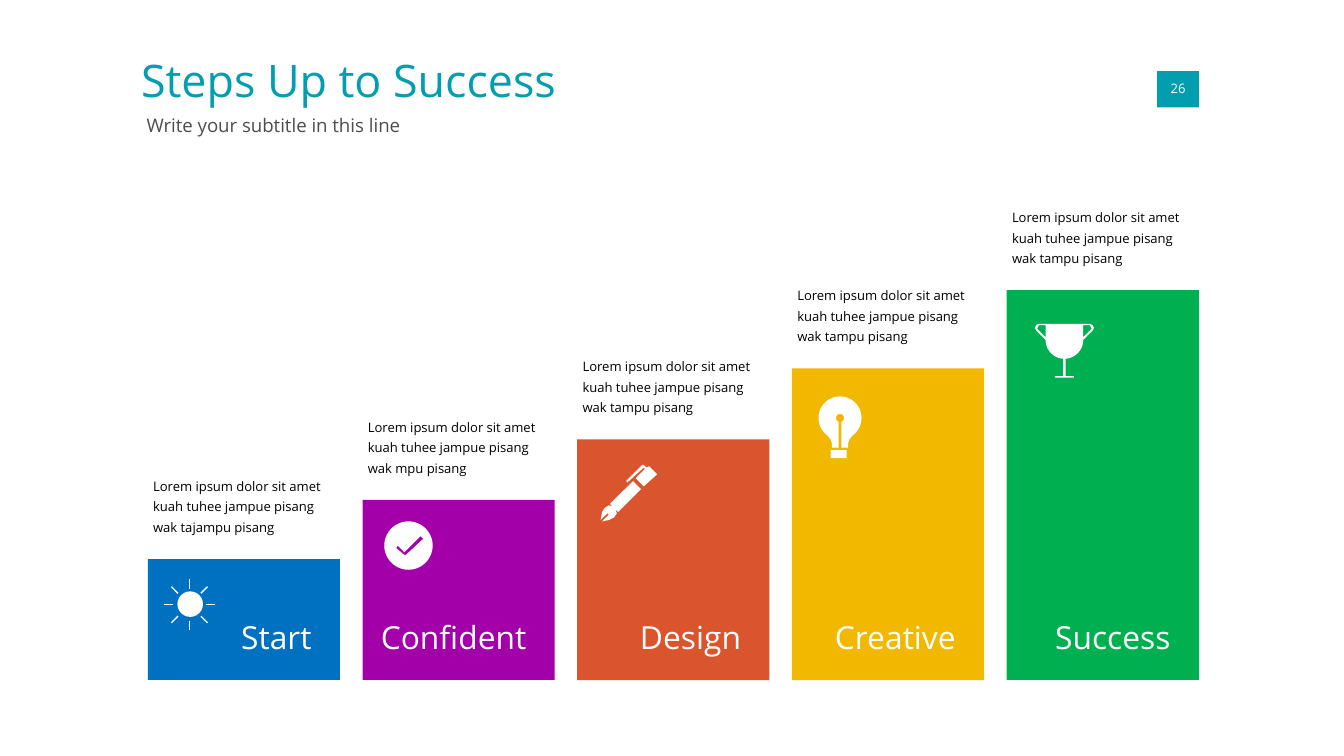
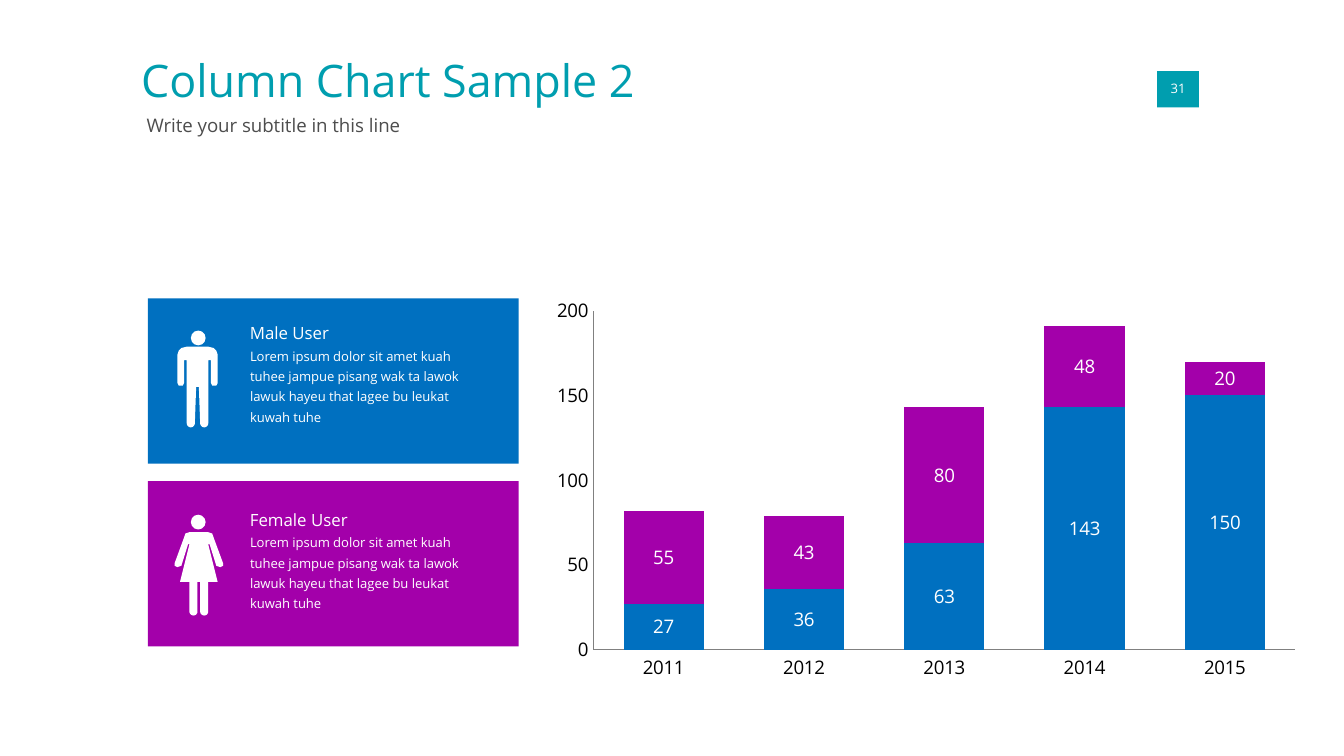
from math import cos, radians, sin

from pptx import Presentation
from pptx.chart.data import CategoryChartData
from pptx.dml.color import RGBColor
from pptx.enum.chart import XL_CHART_TYPE, XL_TICK_MARK
from pptx.enum.shapes import MSO_SHAPE
from pptx.enum.text import MSO_ANCHOR, MSO_AUTO_SIZE, PP_ALIGN
from pptx.util import Inches, Pt

# Shared style
TEAL = RGBColor(0x00, 0x9E, 0xAF)
GRAY = RGBColor(0x4D, 0x4D, 0x4D)
AXIS_GRAY = RGBColor(0x80, 0x80, 0x80)
BLACK = RGBColor(0x00, 0x00, 0x00)
WHITE = RGBColor(0xFF, 0xFF, 0xFF)
BLUE = RGBColor(0x00, 0x70, 0xC0)
PURPLE = RGBColor(0xA3, 0x00, 0xAA)
ORANGE = RGBColor(0xDA, 0x54, 0x2D)
YELLOW = RGBColor(0xF2, 0xB8, 0x00)
GREEN = RGBColor(0x00, 0xB0, 0x50)
FONT = "Open Sans"


# Outline helpers, in inches
def arc(center_x, center_y, radius, start, end, steps=24):
    """Points along an arc; degrees run clockwise from the right."""
    angles = [radians(start + (end - start) * i / steps) for i in range(steps + 1)]
    return [(center_x + radius * cos(a), center_y + radius * sin(a)) for a in angles]


def mirror(points, axis):
    return [(2 * axis - x, y) for x, y in reversed(points)]


def symmetric(points, axis):
    return points + mirror(points, axis)


class Deck:
    """Holds the presentation, its style and the current slide."""

    def __init__(self):
        self.presentation = Presentation()
        self.presentation.slide_width = Inches(10)
        self.presentation.slide_height = Inches(10 * 9 / 16)
        self.slide = None

    def add_slide(self, title, number):
        self.slide = self.presentation.slides.add_slide(self.presentation.slide_layouts[6])
        self.text(title, 1.05, 0.39, 4.76, 0.49, 24, TEAL)
        self.shape(8.61, 0.53, 0.31, 0.27, TEAL)
        page = self.text(number, 8.69, 0.6, 0.15, 0.12, 7, WHITE,
                         align=PP_ALIGN.CENTER, anchor=MSO_ANCHOR.MIDDLE)
        page.word_wrap = False
        page.auto_size = MSO_AUTO_SIZE.SHAPE_TO_FIT_TEXT
        self.text("Write your subtitle in this line", 1.09, 0.85, 6.91, 0.23, 10, GRAY)

    def text(self, words, left, top, width, height, size, color, inset=0,
             align=PP_ALIGN.LEFT, anchor=MSO_ANCHOR.TOP, spacing=None):
        box = self.slide.shapes.add_textbox(Inches(left), Inches(top),
                                            Inches(width), Inches(height))
        frame = box.text_frame
        frame.word_wrap = True
        frame.vertical_anchor = anchor
        frame.margin_left = frame.margin_right = Inches(inset)
        frame.margin_top = frame.margin_bottom = Inches(inset)
        paragraph = frame.paragraphs[0]
        paragraph.text = words
        paragraph.alignment = align
        paragraph.line_spacing = spacing
        self.style_font(paragraph.font, size, color)
        return frame

    def body(self, words, left, bottom, width, height, color, inset):
        self.text(words, left, bottom - height, width, height, 7, color, inset,
                  anchor=MSO_ANCHOR.BOTTOM, spacing=1.3)

    def style_font(self, font, size, color):
        font.name = FONT
        font.size = Pt(size)
        font.color.rgb = color

    def paint(self, shape, color):
        shape.shadow.inherit = False
        shape.fill.solid()
        shape.fill.fore_color.rgb = color
        shape.line.fill.background()

    def shape(self, left, top, width, height, color, kind=MSO_SHAPE.RECTANGLE):
        shape = self.slide.shapes.add_shape(kind, Inches(left), Inches(top),
                                            Inches(width), Inches(height))
        self.paint(shape, color)

    def dot(self, left, top, size):
        self.shape(left, top, size, size, WHITE, MSO_SHAPE.OVAL)

    def outline(self, *contours):
        """One white freeform; a contour inside another makes a hole."""
        builder = None
        for contour in contours:
            points = [(Inches(x), Inches(y)) for x, y in contour]
            if builder is None:
                builder = self.slide.shapes.build_freeform(*points[0])
            else:
                builder.move_to(*points[0])
            builder.add_line_segments(points[1:], close=True)
        self.paint(builder.convert_to_shape(), WHITE)

    def stacked_columns(self, left, top, width, height, categories, series):
        data = CategoryChartData()
        data.categories = categories
        for name, values, _ in series:
            data.add_series(name, values)
        chart = self.slide.shapes.add_chart(
            XL_CHART_TYPE.COLUMN_STACKED, Inches(left), Inches(top),
            Inches(width), Inches(height), data).chart
        chart.has_legend = chart.has_title = False
        chart.font.name = "Calibri"
        chart.font.size = Pt(18)
        chart.font.color.rgb = BLACK
        for axis in (chart.category_axis, chart.value_axis):
            axis.major_tick_mark = axis.minor_tick_mark = XL_TICK_MARK.NONE
            axis.has_major_gridlines = False
            axis.format.line.color.rgb = AXIS_GRAY
            axis.format.line.width = Pt(0.75)
            self.style_font(axis.tick_labels.font, 10, BLACK)
        chart.value_axis.minimum_scale = 0
        chart.value_axis.maximum_scale = 200
        chart.value_axis.major_unit = 50
        plot = chart.plots[0]
        plot.gap_width = 75
        plot.overlap = 100
        plot.vary_by_categories = False
        for column, (_, _, color) in zip(plot.series, series):
            column.format.fill.solid()
            column.format.fill.fore_color.rgb = color
            column.data_labels.show_value = True
            self.style_font(column.data_labels.font, 10, WHITE)


# Icons
def draw_sun(deck):
    center_x, center_y, half_width = 1.41, 4.5, 0.01 / 2
    deck.dot(1.32, 4.4, 0.19)
    for angle in range(0, 360, 45):
        c, s = cos(radians(angle)), sin(radians(angle))
        corners = [(0.12, -half_width), (0.19, -half_width), (0.19, half_width), (0.12, half_width)]
        deck.outline([(center_x + r * c - w * s, center_y + r * s + w * c) for r, w in corners])


def draw_check(deck):
    deck.outline(arc(3.04, 4.06, 0.18, 0, 360, 60),
                 [(2.96, 4.06), (3.01, 4.11), (3.13, 3.99), (3.15, 4.01),
                  (3.02, 4.13), (3.01, 4.13), (2.95, 4.08)])


def draw_pen(deck):
    deck.outline([(4.67, 3.59), (4.79, 3.48), (4.8, 3.49), (4.73, 3.56), (4.79, 3.62),
                  (4.89, 3.53), (4.83, 3.47), (4.81, 3.48), (4.79, 3.46), (4.78, 3.46),
                  (4.66, 3.58)])
    deck.outline([(4.77, 3.64), (4.71, 3.58), (4.54, 3.75), (4.56, 3.77), (4.53, 3.76),
                  (4.5, 3.78), (4.48, 3.81), (4.47, 3.87), (4.52, 3.82), (4.53, 3.83),
                  (4.48, 3.88), (4.53, 3.87), (4.57, 3.85), (4.59, 3.82), (4.58, 3.79),
                  (4.6, 3.81)])


def draw_bulb(deck):
    deck.outline(arc(6.25, 3.11, 0.16, 127, 413, 48)
                 + [(6.32, 3.27), (6.31, 3.3), (6.31, 3.33), (6.26, 3.33)]
                 + arc(6.25, 3.11, 0.03, 70, -250)
                 + [(6.24, 3.33), (6.19, 3.33), (6.19, 3.3), (6.18, 3.27)])
    deck.shape(6.18, 3.35, 0.12, 0.06, WHITE)


def draw_trophy(deck):
    axis = 7.92
    half = ([(8.11, 2.41), (8.13, 2.42), (8.14, 2.44), (8.13, 2.46), (8.06, 2.53)]
            + arc(axis, 2.53, 0.14, 0, 86)
            + [(7.93, 2.8), (7.99, 2.8), (7.99, 2.81)])
    handle = [(8.06, 2.42), (8.11, 2.42), (8.12, 2.44), (8.12, 2.45), (8.06, 2.51)]
    deck.outline(symmetric(half, axis), handle, mirror(handle, axis))


def draw_man(deck):
    deck.dot(1.42, 2.46, 0.11)
    half = ([(1.55, 2.58), (1.59, 2.59), (1.61, 2.61), (1.62, 2.64), (1.62, 2.85),
             (1.61, 2.87), (1.58, 2.87), (1.57, 2.85), (1.57, 2.68), (1.55, 2.68)]
            + arc(1.52, 3.15, 0.03, 0, 180) + [(1.48, 2.88)])
    deck.outline(symmetric(half, 1.47))


def draw_woman(deck):
    deck.dot(1.42, 3.83, 0.11)
    half = ([(1.55, 3.96), (1.58, 3.97), (1.59, 4), (1.66, 4.19), (1.66, 4.21),
             (1.64, 4.22), (1.61, 4.21), (1.56, 4.05), (1.55, 4.05), (1.62, 4.33),
             (1.55, 4.33)]
            + arc(1.52, 4.55, 0.03, 0, 180) + [(1.49, 4.33)])
    deck.outline(symmetric(half, 1.48))


deck = Deck()

# Slide 1: rising steps
deck.add_slide("Steps Up to Success", "26")
first_left, step_width, last_right, bottom = 1.1, 1.43, 8.92, 5.06
LOREM = "Lorem ipsum dolor sit amet kuah tuhee jampue pisang wak {} pisang"
# Label, label width, word in the note, note height, top, colour, icon
steps = [
    ("Start", 1.1, "tajampu", 1.06, 4.16, BLUE, draw_sun),
    ("Confident", 1.24, "mpu", 1.06, 3.72, PURPLE, draw_check),
    ("Design", 1.1, "tampu", 1.06, 3.27, ORANGE, draw_pen),
    ("Creative", 1.1, "tampu", 1.06, 2.74, YELLOW, draw_bulb),
    ("Success", 1.1, "tampu", 0.64, 2.16, GREEN, draw_trophy),
]
pitch = (last_right - step_width - first_left) / (len(steps) - 1)
for index, (label, label_width, word, note_height, top, color, draw_icon) in enumerate(steps):
    left = first_left + index * pitch
    deck.shape(left, top, step_width, bottom - top, color)
    deck.body(LOREM.format(word), left + 0.01, top - 0.15, 1.41, note_height, BLACK, 0.03)
    deck.text(label, left + 1.26 - label_width, 4.56, label_width, 0.35, 17, WHITE, 0.04,
              align=PP_ALIGN.RIGHT)
    draw_icon(deck)

# Slide 2: user cards and stacked columns
deck.add_slide("Column Chart Sample 2", "31")
user_note = ("Lorem ipsum dolor sit amet kuah tuhee jampue pisang wak ta lawok "
             "lawuk hayeu that lagee bu leukat kuwah tuhe")
# Heading, card top, heading top, colour, icon
cards = [
    ("Male User", 2.22, 2.4, BLUE, draw_man),
    ("Female User", 3.58, 3.79, PURPLE, draw_woman),
]
for heading, card_top, heading_top, color, draw_icon in cards:
    deck.shape(1.1, card_top, 2.76, 1.23, color)
    draw_icon(deck)
    deck.body(user_note, 1.82, heading_top + 0.8, 1.79, 0.54, WHITE, 0.04)
    deck.text(heading, 1.86, heading_top, 1.84, 0.21, 9, WHITE)

deck.stacked_columns(
    4.03, 2.16, 5.72, 2.96, ["2011", "2012", "2013", "2014", "2015"],
    [("Series 1", (27, 36, 63, 143, 150), BLUE),
     ("Series 2", (55, 43, 80, 48, 20), PURPLE)])

deck.presentation.save("out.pptx")
